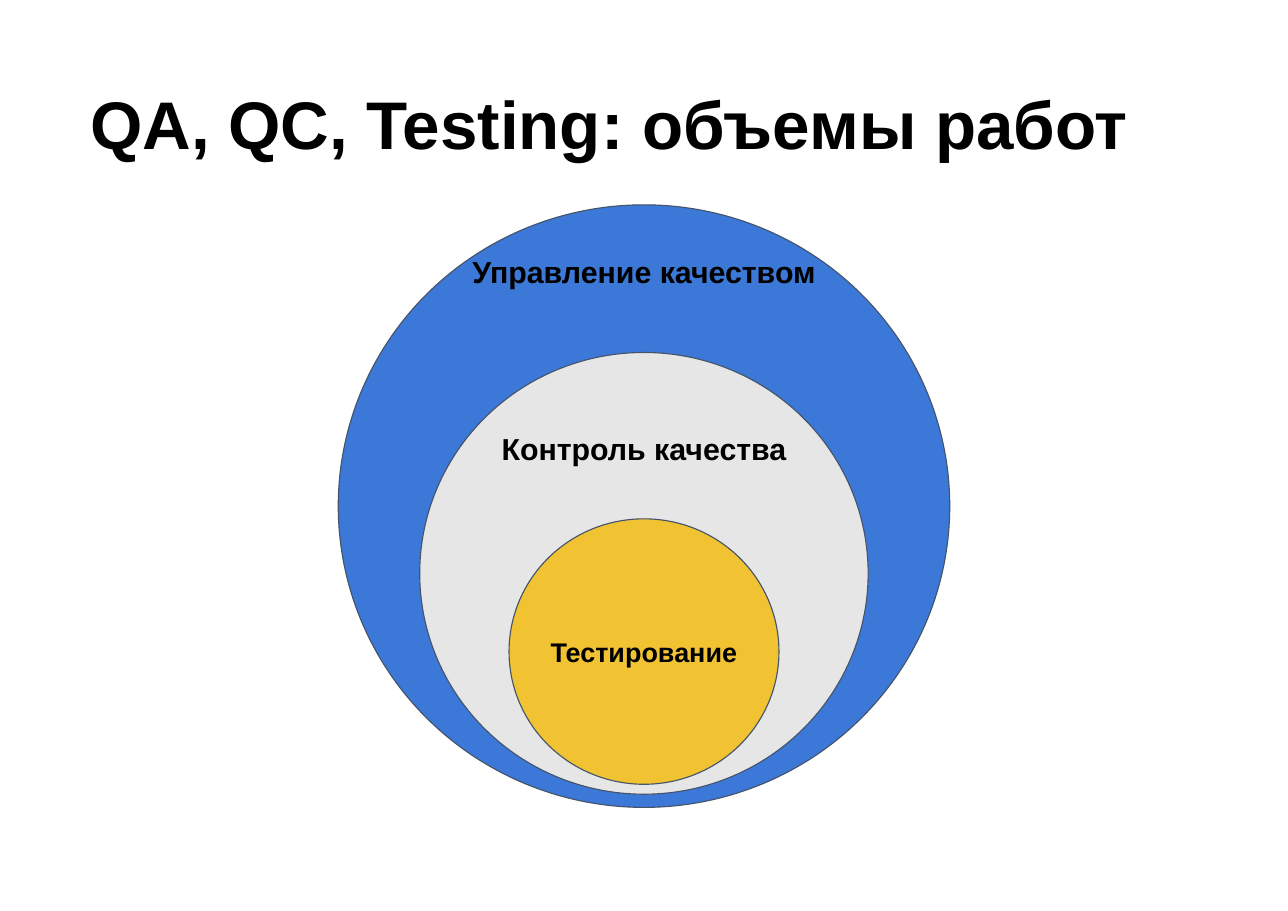
from dataclasses import dataclass

from pptx import Presentation
from pptx.dml.color import RGBColor
from pptx.enum.shapes import MSO_SHAPE as SHAPE
from pptx.enum.text import MSO_ANCHOR as ANCHOR, MSO_AUTO_SIZE as AUTOSIZE, PP_ALIGN as ALIGN
from pptx.util import Inches, Pt


@dataclass(frozen=True)
class Theme:
    """Colours, font and type sizes of the slide."""
    font: str = "Arial"
    text: str = "000000"
    outline: str = "44546A"
    assurance: str = "3C78D8"
    control: str = "E7E6E6"
    testing: str = "F1C232"
    title_size: float = 44
    label_size: float = 19.8
    small_size: float = 17.6


THEME = Theme()


def rgb(value):
    """Return a colour from its hex value."""
    return RGBColor.from_string(value)


def write(tf, text, size, align, anchor, inset):
    """Fill a text frame with one bold run."""
    tf.word_wrap = True
    tf.auto_size = AUTOSIZE.NONE
    tf.vertical_anchor = anchor
    tf.margin_left = tf.margin_right = tf.margin_top = tf.margin_bottom = Inches(inset)
    p = tf.paragraphs[0]
    p.alignment = align
    r = p.add_run()
    r.text = text
    r.font.name = THEME.font
    r.font.size = Pt(size)
    r.font.bold = True
    r.font.color.rgb = rgb(THEME.text)
    return p


def add_title(s, text):
    """Place and format the title placeholder."""
    title = s.shapes.title
    title.left, title.top = Inches(0.71), Inches(0.72)
    title.width, title.height = Inches(10.27), Inches(0.92)
    p = write(title.text_frame, text, THEME.title_size, ALIGN.LEFT, ANCHOR.TOP, 0.11)
    p.line_spacing = 0.9
    p.space_before = Pt(0)


def add_circle(s, center_x, top, width, height, fill):
    """Add an outlined ellipse centred on a vertical axis."""
    sp = s.shapes.add_shape(SHAPE.OVAL, Inches(center_x - width / 2), Inches(top),
                            Inches(width), Inches(height))
    sp.shadow.inherit = False
    sp.fill.solid()
    sp.fill.fore_color.rgb = rgb(fill)
    sp.line.color.rgb = rgb(THEME.outline)
    sp.line.width = Pt(0.75)


def add_label(s, center_x, center_y, text, size):
    """Add a text box centred on a point."""
    width, height = (3.7, 0.4)
    box = s.shapes.add_textbox(Inches(center_x - width / 2), Inches(center_y - height / 2),
                               Inches(width), Inches(height))
    write(box.text_frame, text, size, ALIGN.CENTER, ANCHOR.MIDDLE, 0)


def main():
    """Build the slide with three nested circles."""
    prs = Presentation()
    prs.slide_width, prs.slide_height = Inches(11.69), Inches(8.27)
    s = prs.slides.add_slide(prs.slide_layouts[5])
    add_title(s, "QA, QC, Testing: объемы работ")

    center_x = 5.845
    circles = [
        (1.86, 5.55, 5.47, THEME.assurance, "Управление качеством", 2.46, THEME.label_size),
        (3.2, 4.07, 4.01, THEME.control, "Контроль качества", 4.07, THEME.label_size),
        (4.71, 2.45, 2.41, THEME.testing, "Тестирование", 5.92, THEME.small_size),
    ]
    for top, width, height, fill, text, label_y, size in circles:
        add_circle(s, center_x, top, width, height, fill)
        add_label(s, center_x, label_y, text, size)

    prs.save("out.pptx")


if __name__ == "__main__":
    main()
